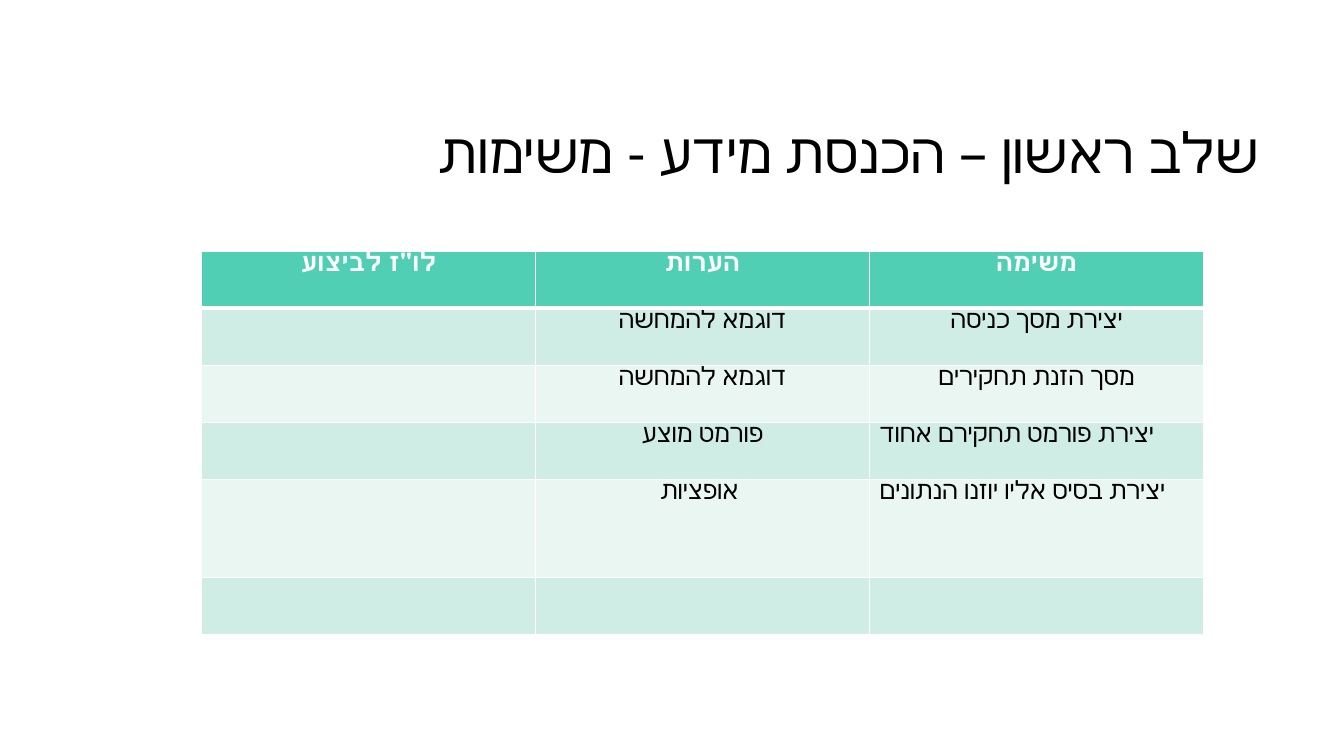
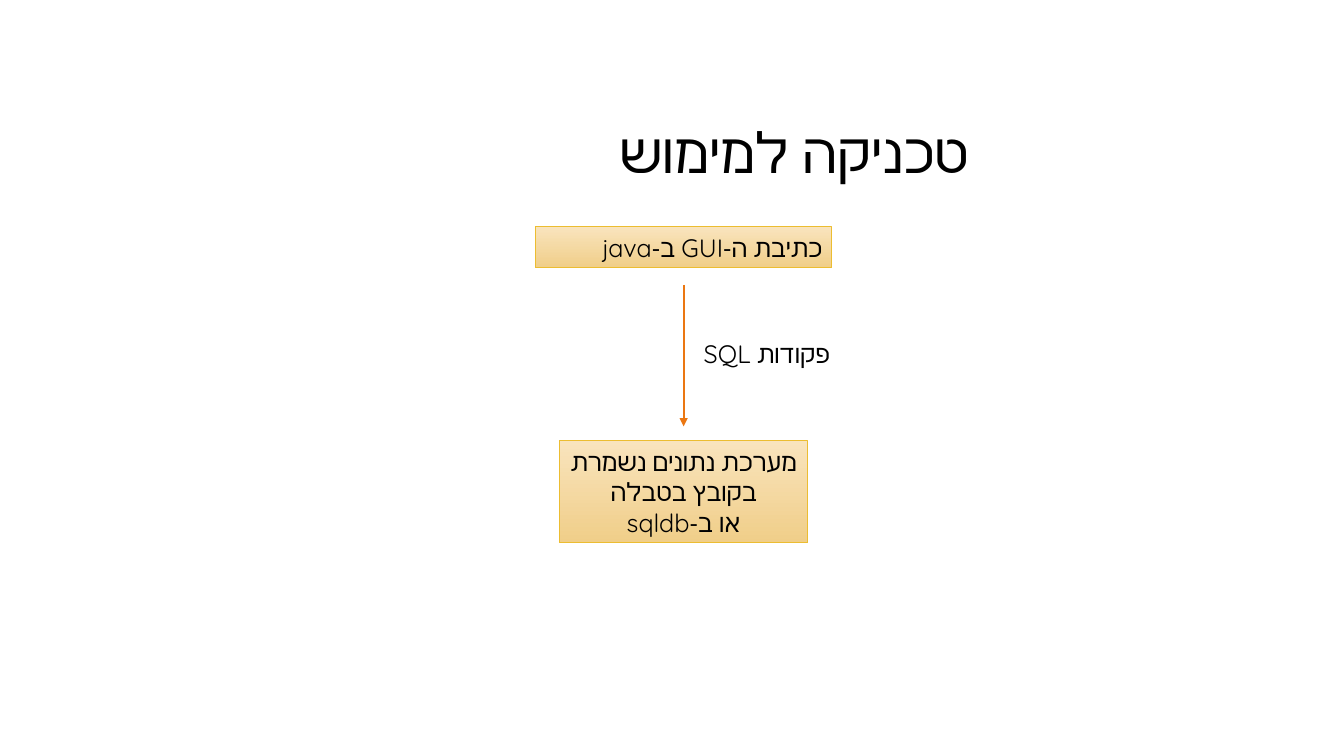
"""Build two Hebrew slides: a task table and an implementation flow."""
from lxml.etree import SubElement
from pptx import Presentation
from pptx.dml.color import RGBColor
from pptx.enum.lang import MSO_LANGUAGE_ID as Lang
from pptx.enum.shapes import MSO_CONNECTOR as Connector, MSO_SHAPE as Shape
from pptx.enum.text import MSO_ANCHOR as Anchor, MSO_AUTO_SIZE as AutoSize, PP_ALIGN as Align
from pptx.oxml.ns import qn
from pptx.util import Inches, Pt

FONT = "Quicksand"
BLACK = RGBColor(0x00, 0x00, 0x00)
WHITE = RGBColor(0xFF, 0xFF, 0xFF)
TEAL = RGBColor(0x50, 0xCF, 0xB4)
MINT = RGBColor(0xD0, 0xED, 0xE5)
PALE_MINT = RGBColor(0xE9, 0xF6, 0xF2)
SAND = RGBColor(0xF9, 0xE4, 0xBD)
DEEP_SAND = RGBColor(0xF0, 0xCE, 0x89)
GOLD = RGBColor(0xEC, 0xBD, 0x31)
ORANGE = RGBColor(0xEB, 0x77, 0x12)

deck = Presentation()
deck.slide_width, deck.slide_height = Inches(13.33), Inches(7.5)
COL, ROW = deck.slide_width / 100, deck.slide_height / 100


def area(left, top, width, height):
    """Turn shares of the slide, in percent, into lengths."""
    return int(left * COL), int(top * ROW), int(width * COL), int(height * ROW)


def write(frame, lines, align, size=18, color=BLACK, bold=False, rtl=False):
    """Fill a text frame with one run per line."""
    frame.word_wrap = True
    for number, line in enumerate(lines):
        paragraph = frame.add_paragraph() if number else frame.paragraphs[0]
        paragraph.alignment = align
        if rtl:
            paragraph._p.get_or_add_pPr().set("rtl", "1")
        run = paragraph.add_run()
        run.text = line
        font = run.font
        font.name, font.size, font.bold = FONT, Pt(size), bold
        font.color.rgb = color
        font.language_id = Lang.HEBREW


slides = []
for heading, align in [
    ("שלב ראשון – הכנסת מידע - משימות", Align.RIGHT),
    ("טכניקה למימוש", Align.CENTER),
]:
    slide = deck.slides.add_slide(deck.slide_layouts[6])
    title = slide.shapes.add_textbox(*area(23.75, 11.2, 70.65, 18.8)).text_frame
    title.vertical_anchor = Anchor.MIDDLE
    write(title, [heading], align, size=40)
    title.paragraphs[0].line_spacing = 0.9
    slides.append(slide)
tasks_slide, flow_slide = slides

TASKS = [
    ["לו\"ז לביצוע", "הערות", "משימה"],
    ["", "דוגמא להמחשה", "יצירת מסך כניסה"],
    ["", "דוגמא להמחשה", "מסך הזנת תחקירים"],
    ["", "פורמט מוצע", "יצירת פורמט תחקירם אחוד"],
    ["", "אופציות ", "יצירת בסיס אליו יוזנו הנתונים"],
    ["", "", ""],
]
ROW_SHARES = [7.55, 7.55, 7.55, 7.55, 13, 7.55]
LEFT_ALIGNED = [(3, 2), (4, 2)]

tasks = tasks_slide.shapes.add_table(
    len(TASKS), len(TASKS[0]), *area(15, 33.2, 74.55, sum(ROW_SHARES))
).table
for row_index, texts in enumerate(TASKS):
    tasks.rows[row_index].height = int(ROW_SHARES[row_index] * ROW)
    header = row_index == 0
    for col_index, text in enumerate(texts):
        cell = tasks.cell(row_index, col_index)
        cell.margin_top = cell.margin_bottom = 0
        borders = {"lnL": 1, "lnR": 1, "lnT": 3 if row_index == 1 else 1, "lnB": 3 if header else 1}
        for side, points in borders.items():
            border = SubElement(cell._tc.get_or_add_tcPr(), qn(f"a:{side}"), w=str(Pt(points)))
            SubElement(SubElement(border, qn("a:solidFill")), qn("a:srgbClr"), val=str(WHITE))
        cell.fill.solid()
        cell.fill.fore_color.rgb = TEAL if header else MINT if row_index % 2 else PALE_MINT
        if text:
            align = Align.LEFT if (row_index, col_index) in LEFT_ALIGNED else Align.CENTER
            write(cell.text_frame, [text], align, color=WHITE if header else BLACK, bold=header)

AXIS = 50.87
for top, width, height, align, lines in [
    (30, 22.05, 5.4, Align.RIGHT, ["כתיבת ה-GUI ב-java"]),
    (58.3, 18.5, 13.5, Align.CENTER, ["מערכת נתונים נשמרת בקובץ בטבלה", "או ב-sqldb"]),
]:
    stage = flow_slide.shapes.add_shape(
        Shape.RECTANGLE, *area(AXIS - width / 2, top, width, height)
    )
    stage.shadow.inherit = False
    stage.fill.gradient()
    stage.fill.gradient_angle = 270
    for stop, color in zip(stage.fill.gradient_stops, [SAND, DEEP_SAND]):
        stop.color.rgb = color
    stage.line.color.rgb = GOLD
    stage.line.width = Pt(0.75)
    write(stage.text_frame, lines, align, rtl=True)
    stage.text_frame.auto_size = AutoSize.SHAPE_TO_FIT_TEXT

arrow_x, arrow_top, _, arrow_length = area(AXIS, 37.7, 0, 18.7)
arrow = flow_slide.shapes.add_connector(
    Connector.STRAIGHT, arrow_x, arrow_top, arrow_x, arrow_top + arrow_length
)
arrow.line.color.rgb = ORANGE
arrow.line.width = Pt(1.5)
SubElement(arrow.line._get_or_add_ln(), qn("a:tailEnd"), type="triangle")
SubElement(arrow._element.spPr, qn("a:effectLst"))

commands = flow_slide.shapes.add_textbox(*area(AXIS, 44.1, 11.6, 5.4)).text_frame
write(commands, ["פקודות SQL"], Align.RIGHT, rtl=True)
commands.auto_size = AutoSize.SHAPE_TO_FIT_TEXT

deck.save("out.pptx")
